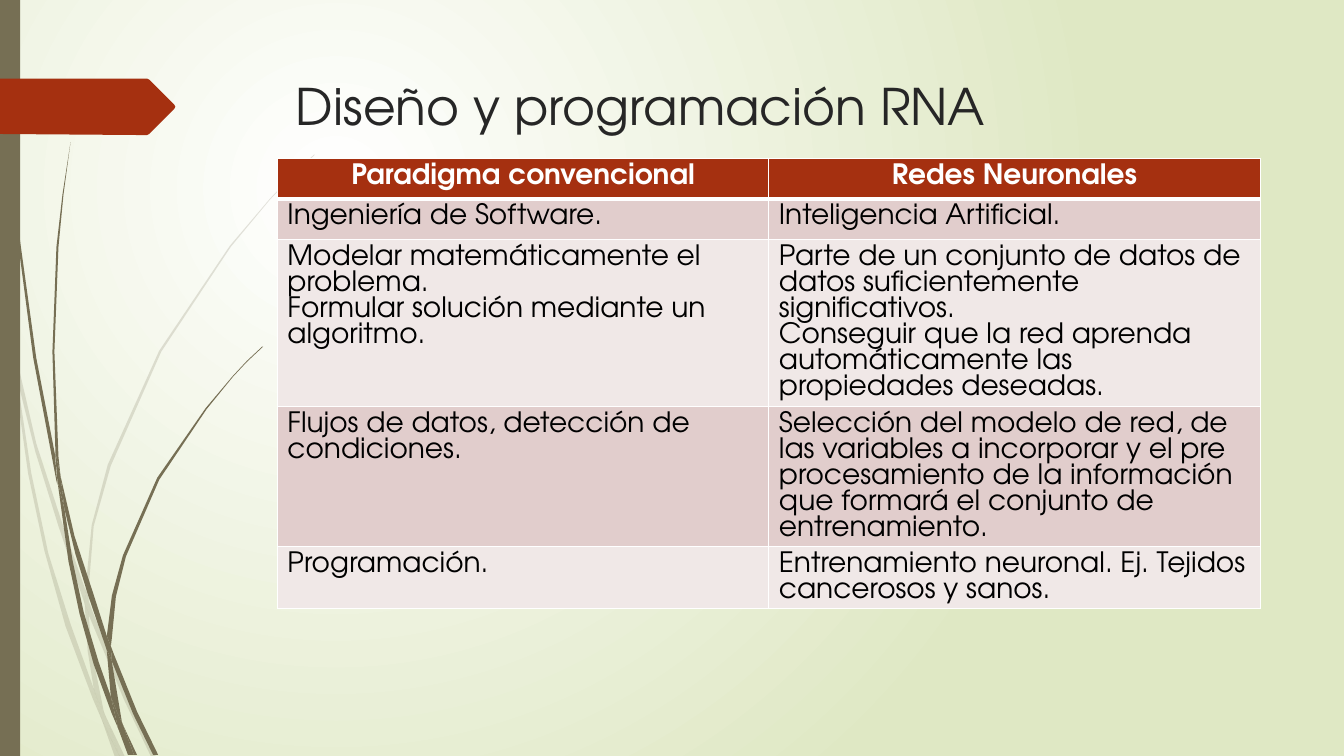
from dataclasses import dataclass

import pptx
import pptx.dml.color
import pptx.enum.shapes
import pptx.enum.text
import pptx.oxml
import pptx.oxml.ns
import pptx.util
from pptx.util import Cm


@dataclass(frozen=True)
class Theme:
    font: str = "TeX Gyre Adventor"
    title_size: float = 36
    cell_size: float = 20
    cell_line: float = 18.6
    title: str = "262626"
    text: str = "000000"
    white: str = "FFFFFF"
    backdrop: str = "DFE8C4"
    stalk: str = "766F54"
    accent: str = "A53010"
    bands: tuple = ("E1CDCC", "F0E8E7")


THEME = Theme()
OUTLINE_UNIT = Cm(.0254)

PALE_STALKS = [
    "11,350 9,322 0,282 0,299 10,344",
    "58,522 84,599 85,586 62,520 36,440 14,345 17,376 35,448",
    "92,607 88,596 88,610 123,694 150,751 155,751 127,692",
    "119,751 124,751 105,711",
    "93,683 70,619 48,549 31,469 17,376 11,350 28,470 44,546 65,621 92,693 101,714 99,707",
    "84,599 87,646 93,683 96,692 105,711 103,706 91,646 88,610 88,608",
    "88,584 93,522 110,462 160,349 229,245 268,198 290,175 312,154 312,153 289,175 "
    "268,197 228,244 158,348 107,461 91,521 85,584 85,586 88,596",
    "101,714 114,751 119,751",
    "88,608 88,610 88,596 85,586 84,599",
    "96,692 93,683 99,707 101,714 119,751 105,711",
]
DARK_STALKS = [
    "7,110 17,233 33,355 56,477 57,481 55,457 55,453 36,355 19,232 8,109 5,48 4,0 3,0 4,48",
    "88,592 106,645 106,633 106,631 93,590 74,532 60,472 64,505 75,550",
    "113,649 110,641 111,656 132,708 152,749 157,749 136,706",
    "110,691 98,657 83,607 72,556 64,505 57,477 68,557 79,609 93,659 111,708 117,722 116,717",
    "60,472 58,453 54,349 58,245 63,193 70,141 62,193 56,245 52,349 55,449",
    "133,749 136,749 122,719",
    "57,477 64,505 60,472 55,449 55,453",
    "111,633 115,592 125,552 158,476 205,406 231,374 245,359 261,344 260,344 245,358 "
    "231,373 204,405 156,474 122,551 111,591 106,631 110,641",
    "117,722 127,749 131,749",
    "106,645 110,691 116,706 122,719 121,716 111,656 109,651",
    "106,645 109,651 111,656 110,641 106,631 106,633",
    "116,706 110,691 116,717 117,722 130,749 133,749 122,719",
]
BANNER = "173,108 148,133 146,134 136,134 0,133 0,78 136,78 146,78 148,79 173,104 174,106"

ROWS = [
    ("Paradigma convencional", "Redes Neuronales"),
    ("Ingeniería de Software.", "Inteligencia Artificial."),
    ("Modelar matemáticamente el problema.\nFormular solución mediante un algoritmo.",
     "Parte de un conjunto de datos de datos suficientemente significativos.\n"
     "Conseguir que la red aprenda automáticamente las propiedades deseadas."),
    ("Flujos de datos, detección de condiciones.",
     "Selección del modelo de red, de las variables a incorporar y el pre "
     "procesamiento de la información que formará el conjunto de entrenamiento."),
    ("Programación.", "Entrenamiento neuronal. Ej. Tejidos cancerosos y sanos."),
]
ROW_HEIGHTS = [1.02, 1.03, 4.2, 3.53, 1.55]


def rgb(color):
    return pptx.dml.color.RGBColor.from_string(color)


def paint(sp, color, opacity=100):
    sp.shadow.inherit = False
    sp.fill.solid()
    sp.fill.fore_color.rgb = rgb(color)
    sp.line.fill.background()
    if opacity < 100:
        clr = sp._element.spPr.find(".//" + pptx.oxml.ns.qn("a:srgbClr"))
        clr.append(pptx.oxml.parse_xml(
            f'<a:alpha {pptx.oxml.ns.nsdecls("a")} val="{opacity * 1000}"/>'))


def style(p, size, color, bold=False):
    for r in p.runs:
        r.font.name = THEME.font
        r.font.size = pptx.util.Pt(size)
        r.font.color.rgb = rgb(color)
        r.font.bold = bold


def backdrop(s):
    fill = s.background.fill
    fill.gradient()
    for stop, color in zip(fill.gradient_stops, (THEME.white, THEME.backdrop)):
        stop.color.rgb = rgb(color)
    grad = s.background._cSld.find(".//" + pptx.oxml.ns.qn("a:gradFill"))
    lin = grad.find(pptx.oxml.ns.qn("a:lin"))
    grad.replace(lin, pptx.oxml.parse_xml(
        f'<a:path {pptx.oxml.ns.nsdecls("a")} path="circle">'
        '<a:fillToRect l="50000" t="50000" r="100000" b="100000"/></a:path>'))


def outline(s, corners, x, y, color, opacity=100):
    points = [tuple(map(int, corner.split(","))) for corner in corners.split()]
    fb = s.shapes.build_freeform(*points[0], scale=OUTLINE_UNIT)
    fb.add_line_segments(points[1:], close=True)
    paint(fb.convert_to_shape(Cm(x), Cm(y)), color, opacity)


def side_decor(s, x, y, height):
    for stalks, opacity in ((PALE_STALKS, 20), (DARK_STALKS, 100)):
        for corners in stalks:
            outline(s, corners, x, y, THEME.stalk, opacity)
    bar = s.shapes.add_shape(pptx.enum.shapes.MSO_SHAPE.RECTANGLE,
                             Cm(x), Cm(y), Cm(.51), Cm(height))
    paint(bar, THEME.stalk)
    outline(s, BANNER, x, y, THEME.accent)


def title(s, text, x, y, width, height):
    tf = s.shapes.add_textbox(Cm(x), Cm(y), Cm(width), Cm(height)).text_frame
    tf.word_wrap = True
    tf.text = text
    style(tf.paragraphs[0], THEME.title_size, THEME.title)


def borders(cell, header):
    tc_pr = cell._tc.get_or_add_tcPr()
    for i, side in enumerate("LRTB"):
        if side == "T" and not header:
            continue
        width = 38100 if header and side == "B" else 12700
        tc_pr.insert(min(i, len(tc_pr)), pptx.oxml.parse_xml(
            f'<a:ln{side} {pptx.oxml.ns.nsdecls("a")} w="{width}"><a:solidFill>'
            f'<a:srgbClr val="{THEME.white}"/></a:solidFill></a:ln{side}>'))


def comparison_table(s, x, y, width):
    table = s.shapes.add_table(len(ROWS), len(ROWS[0]), Cm(x), Cm(y),
                               Cm(width), Cm(sum(ROW_HEIGHTS))).table
    for i, (texts, height) in enumerate(zip(ROWS, ROW_HEIGHTS)):
        table.rows[i].height = Cm(height)
        header = i == 0
        for j, text in enumerate(texts):
            cell = table.cell(i, j)
            cell.text_frame.text = text
            for p in cell.text_frame.paragraphs:
                p.line_spacing = pptx.util.Pt(THEME.cell_line)
                if header:
                    p.alignment = pptx.enum.text.PP_ALIGN.CENTER
                style(p, THEME.cell_size, THEME.white if header else THEME.text, header)
            borders(cell, header)
            cell.fill.solid()
            cell.fill.fore_color.rgb = rgb(THEME.accent if header else THEME.bands[(i - 1) % 2])


def main():
    prs = pptx.Presentation()
    prs.slide_width, prs.slide_height = Cm(33.87), Cm(19.05)
    s = prs.slides.add_slide(prs.slide_layouts[6])
    backdrop(s)
    side_decor(s, 0, 0, 19.05)
    title(s, "Diseño y programación RNA", 7.21, 1.76, 24.77, 3.56)
    comparison_table(s, 6.99, 3.99, 24.77)
    prs.save("out.pptx")


if __name__ == "__main__":
    main()
